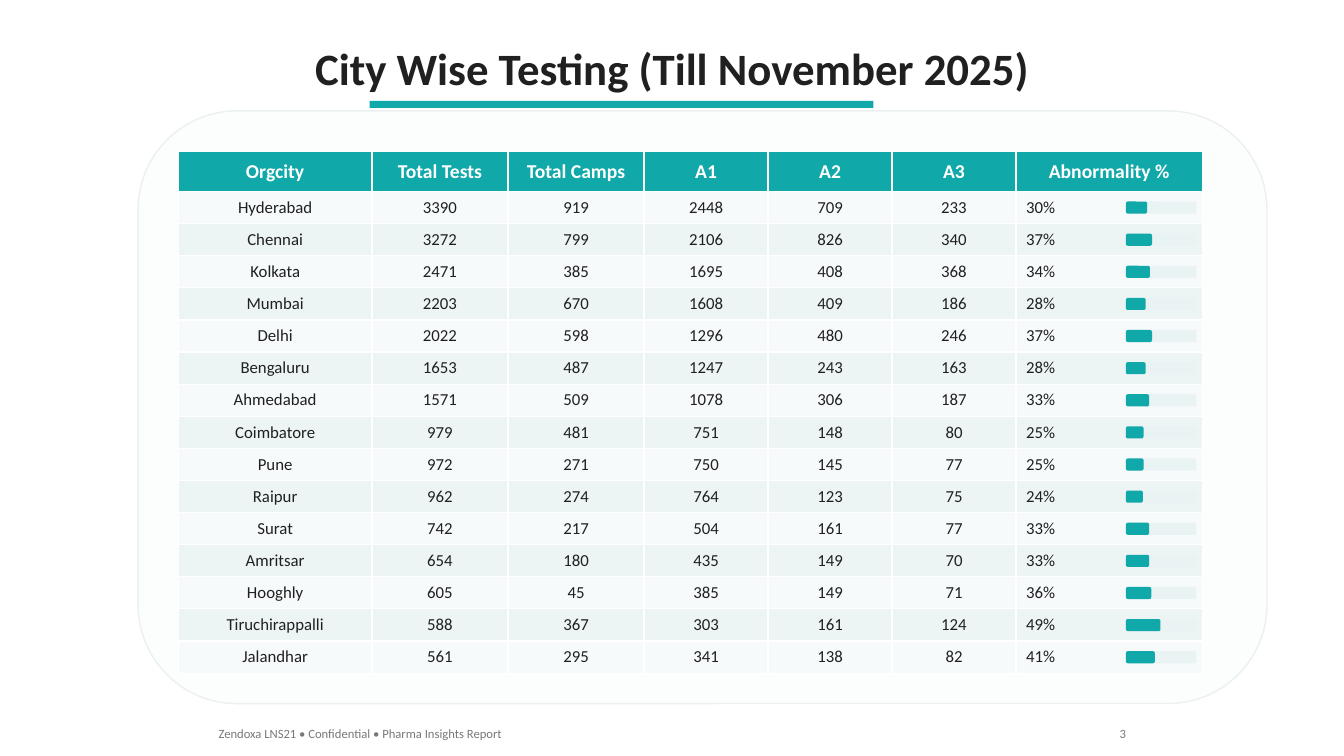
from pptx import Presentation
from pptx.dml.color import RGBColor
from pptx.enum.shapes import MSO_SHAPE
from pptx.enum.text import MSO_ANCHOR, MSO_AUTO_SIZE, PP_ALIGN
from pptx.util import Pt

LEFT, CENTER, RIGHT = PP_ALIGN.LEFT, PP_ALIGN.CENTER, PP_ALIGN.RIGHT
TOP, MIDDLE = MSO_ANCHOR.TOP, MSO_ANCHOR.MIDDLE
FIT_SHAPE = MSO_AUTO_SIZE.SHAPE_TO_FIT_TEXT
RECTANGLE, ROUNDED = MSO_SHAPE.RECTANGLE, MSO_SHAPE.ROUNDED_RECTANGLE

TEAL = RGBColor(0x10, 0xA8, 0xA8)
INK = RGBColor(0x20, 0x20, 0x20)
GRAY = RGBColor(0x78, 0x78, 0x78)
WHITE = RGBColor(0xFF, 0xFF, 0xFF)
PANEL = RGBColor(0xFC, 0xFD, 0xFD)
PANEL_EDGE = RGBColor(0xEB, 0xF0, 0xF0)
ROW_LIGHT = RGBColor(0xF6, 0xFA, 0xFA)
ROW_DARK = RGBColor(0xEC, 0xF4, 0xF4)
TRACK = RGBColor(0xEA, 0xF3, 0xF3)

HEADINGS = ["Orgcity", "Total Tests", "Total Camps", "A1", "A2", "A3", "Abnormality %"]
CITIES = [
    ("Hyderabad", 3390, 919, 2448, 709, 233, 30),
    ("Chennai", 3272, 799, 2106, 826, 340, 37),
    ("Kolkata", 2471, 385, 1695, 408, 368, 34),
    ("Mumbai", 2203, 670, 1608, 409, 186, 28),
    ("Delhi", 2022, 598, 1296, 480, 246, 37),
    ("Bengaluru", 1653, 487, 1247, 243, 163, 28),
    ("Ahmedabad", 1571, 509, 1078, 306, 187, 33),
    ("Coimbatore", 979, 481, 751, 148, 80, 25),
    ("Pune", 972, 271, 750, 145, 77, 25),
    ("Raipur", 962, 274, 764, 123, 75, 24),
    ("Surat", 742, 217, 504, 161, 77, 33),
    ("Amritsar", 654, 180, 435, 149, 70, 33),
    ("Hooghly", 605, 45, 385, 149, 71, 36),
    ("Tiruchirappalli", 588, 367, 303, 161, 124, 49),
    ("Jalandhar", 561, 295, 341, 138, 82, 41),
]
COLUMN_WIDTHS = [138.24, 97.2, 97.2, 88.56, 88.56, 88.56, 133.2]
TABLE_LEFT, TABLE_TOP = 127.44, 108
HEADER_HEIGHT, ROW_HEIGHT = 28.8, 22.94
BAR_LEFT, BAR_WIDTH, BAR_HEIGHT = 804.24, 50.4, 8.64


def write(frame, text, size, color, align, anchor, bold=False):
    frame.text = text
    frame.vertical_anchor = anchor
    para = frame.paragraphs[0]
    para.alignment = align
    font = para.runs[0].font
    font.name, font.size, font.bold = "Calibri", Pt(size), bold
    font.color.rgb = color


def add_block(kind, left, top, width, height, fill, edge=None):
    block = page.shapes.add_shape(kind, Pt(left), Pt(top), Pt(width), Pt(height))
    block.shadow.inherit = False
    block.fill.solid()
    block.fill.fore_color.rgb = fill
    if edge is None:
        block.line.fill.background()
    else:
        block.line.color.rgb = edge
        block.line.width = Pt(1)


deck = Presentation()
deck.slide_width, deck.slide_height = Pt(960), Pt(540)
page = deck.slides.add_slide(deck.slide_layouts[5])

# Title with underline
title = page.shapes.title
title.left, title.top, title.width, title.height = Pt(215.28), Pt(25.2), Pt(529.92), Pt(46.08)
write(title.text_frame, "City Wise Testing (Till November 2025)", 32, INK, CENTER, TOP, True)
title.text_frame.word_wrap = False
title.text_frame.auto_size = FIT_SHAPE
add_block(RECTANGLE, 264, 72, 360, 5.04, TEAL)

# Panel behind the table
add_block(ROUNDED, 98.64, 79.2, 806.4, 423.36, PANEL, PANEL_EDGE)

# City table
table = page.shapes.add_table(
    len(CITIES) + 1, len(HEADINGS), Pt(TABLE_LEFT), Pt(TABLE_TOP),
    Pt(sum(COLUMN_WIDTHS)), Pt(HEADER_HEIGHT + ROW_HEIGHT * len(CITIES))).table
for column, width in zip(table.columns, COLUMN_WIDTHS):
    column.width = Pt(width)

for r, values in enumerate([HEADINGS] + CITIES):
    header = r == 0
    table.rows[r].height = Pt(HEADER_HEIGHT if header else ROW_HEIGHT)
    fill = TEAL if header else ROW_LIGHT if r % 2 else ROW_DARK
    for c, value in enumerate(values):
        percent = c == len(HEADINGS) - 1 and not header
        cell = table.cell(r, c)
        cell.fill.solid()
        cell.fill.fore_color.rgb = fill
        write(cell.text_frame, f"{value}%" if percent else str(value),
              14 if header else 12, WHITE if header else INK,
              LEFT if percent else CENTER, None, header)
        cell.vertical_anchor = MIDDLE

# Abnormality bars, centred in their rows
for i, city in enumerate(CITIES):
    top = TABLE_TOP + HEADER_HEIGHT + i * ROW_HEIGHT + (ROW_HEIGHT - BAR_HEIGHT) / 2
    add_block(ROUNDED, BAR_LEFT, top, BAR_WIDTH, BAR_HEIGHT, TRACK)
    add_block(ROUNDED, BAR_LEFT, top, BAR_WIDTH * city[-1] / 100, BAR_HEIGHT, TEAL)

# Footer and page number
for text, left, width, align in [
    ("Zendoxa LNS21 • Confidential • Pharma Insights Report", 149.04, 219.6, LEFT),
    ("3", 792, 19.44, RIGHT),
]:
    box = page.shapes.add_textbox(Pt(left), Pt(514.8), Pt(width), Pt(18))
    write(box.text_frame, text, 9, GRAY, align, TOP)
    box.text_frame.word_wrap = False
    box.text_frame.auto_size = FIT_SHAPE

deck.save("out.pptx")
